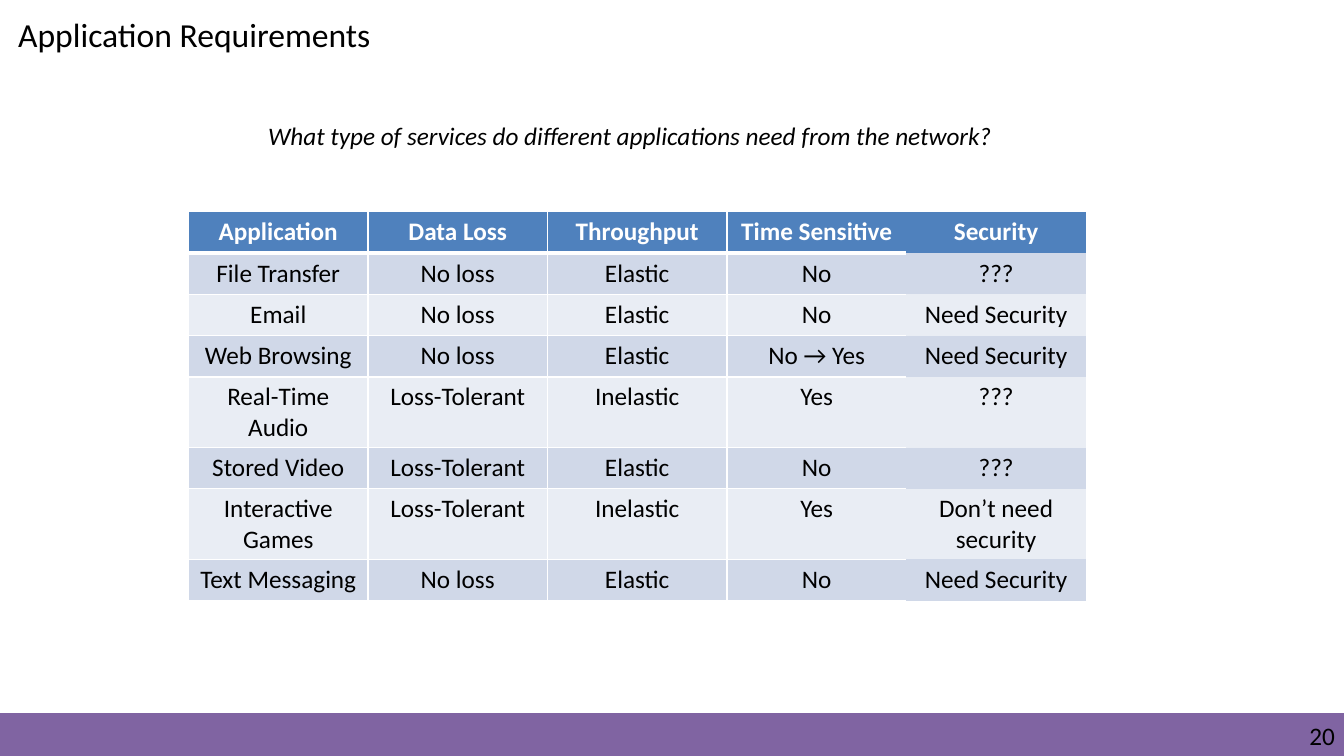
from lxml import etree
from pptx import Presentation
from pptx.dml.color import RGBColor
from pptx.enum.shapes import MSO_SHAPE
from pptx.enum.text import MSO_ANCHOR, PP_ALIGN
from pptx.oxml.ns import qn
from pptx.util import Inches, Pt

RECT = MSO_SHAPE.RECTANGLE
TOP = MSO_ANCHOR.TOP
LEFT, MID, RIGHT = PP_ALIGN.LEFT, PP_ALIGN.CENTER, PP_ALIGN.RIGHT

BLACK = RGBColor(0x00, 0x00, 0x00)
WHITE = RGBColor(0xFF, 0xFF, 0xFF)
PURPLE = RGBColor(0x80, 0x64, 0xA2)
BLUE = RGBColor(0x4F, 0x81, 0xBD)
BANDS = (RGBColor(0xE9, 0xED, 0xF4), RGBColor(0xD0, 0xD8, 0xE8))

FONT = "Calibri"
WIDE, HIGH = Inches(13.33), Inches(7.5)
COL, ROW = Inches(1.78), Inches(0.41)

NEEDS = (
    ("Application", "Data Loss", "Throughput", "Time Sensitive", "Security"),
    ("File Transfer", "No loss", "Elastic", "No", "???"),
    ("Email", "No loss", "Elastic", "No", "Need Security"),
    ("Web Browsing", "No loss", "Elastic", "No → Yes", "Need Security"),
    ("Real-Time Audio", "Loss-Tolerant", "Inelastic", "Yes", "???"),
    ("Stored Video", "Loss-Tolerant", "Elastic", "No", "???"),
    ("Interactive Games", "Loss-Tolerant", "Inelastic", "Yes", "Don’t need security"),
    ("Text Messaging", "No loss", "Elastic", "No", "Need Security"),
)


def write(frame, text, size=18, color=BLACK, align=LEFT, bold=False, italic=False):
    """Fill a text frame with one styled paragraph."""
    frame.text = text
    line = frame.paragraphs[0]
    line.alignment = align
    font = line.runs[0].font
    font.name, font.size = FONT, Pt(size)
    font.bold, font.italic = bold, italic
    font.color.rgb = color


def place(shape, left, top, width, height):
    """Set a shape's box in inches."""
    shape.left, shape.top = Inches(left), Inches(top)
    shape.width, shape.height = Inches(width), Inches(height)


def add_title(slide, text):
    """Move and style the title placeholder."""
    title = slide.shapes.title
    place(title, 0.08, 0.09, 5.67, 0.5)
    write(title.text_frame, text, size=24)
    title.text_frame.vertical_anchor = TOP


def add_label(slide, text, box, pad=None, **style):
    """Add a wrapped text box, with equal insets if pad is given."""
    label = slide.shapes.add_textbox(0, 0, 0, 0)
    place(label, *box)
    frame = label.text_frame
    frame.word_wrap = True
    if pad is not None:
        frame.margin_left = frame.margin_right = pad
        frame.margin_top = frame.margin_bottom = pad
    write(frame, text, **style)


def add_band(slide, height):
    """Add the coloured band along the foot of the slide."""
    band = slide.shapes.add_shape(RECT, 0, HIGH - height, WIDE, height)
    band.shadow.inherit = False
    band.fill.solid()
    band.fill.fore_color.rgb = PURPLE
    band.line.color.rgb = PURPLE
    band.line.width = Pt(1)


def add_edge(cell, side, points):
    """Draw one white cell border, or none when points is zero."""
    props = cell._tc.get_or_add_tcPr()
    edge = etree.SubElement(props, qn(f"a:ln{side}"), w=str(Pt(points)))
    if points:
        fill = etree.SubElement(edge, qn("a:solidFill"))
        etree.SubElement(fill, qn("a:srgbClr"), val=str(WHITE))
    else:
        etree.SubElement(edge, qn("a:noFill"))


def style_cell(cell, text, row, col, last):
    """Write, border and fill one cell by its place in the table."""
    head = row == 0
    write(cell.text_frame, text, color=WHITE if head else BLACK, align=MID, bold=head)
    rules = {
        "L": col < last,
        "R": col < last - 1,
        "T": (3 if row == 1 else 1) * (col < last),
        "B": (3 if head else 1) * (col < last),
    }
    for side, points in rules.items():
        add_edge(cell, side, points)
    cell.fill.solid()
    cell.fill.fore_color.rgb = BLUE if head else BANDS[row % 2]


def add_grid(slide, rows, left, top):
    """Add the table of needs with equal columns and rows."""
    count = len(rows[0])
    frame = slide.shapes.add_table(
        len(rows), count, left, top, COL * count, ROW * len(rows)
    )
    table = frame.table
    table.first_row = table.horz_banding = False
    for r, row in enumerate(rows):
        for c, text in enumerate(row):
            style_cell(table.cell(r, c), text, r, c, count - 1)


def main():
    """Build and save the slide."""
    deck = Presentation()
    deck.slide_width, deck.slide_height = WIDE, HIGH
    slide = deck.slides.add_slide(deck.slide_layouts[5])
    add_band(slide, Inches(0.42))
    add_label(slide, "20", (10.17, 7.15, 3.07, 0.3), pad=0, align=RIGHT)
    add_title(slide, "Application Requirements")
    add_grid(slide, NEEDS, Inches(1.87), Inches(2.1))
    add_label(
        slide,
        "What type of services do different applications need from the network?",
        (2.56, 1.14, 8.22, 0.4),
        italic=True,
    )
    deck.save("out.pptx")


if __name__ == "__main__":
    main()
